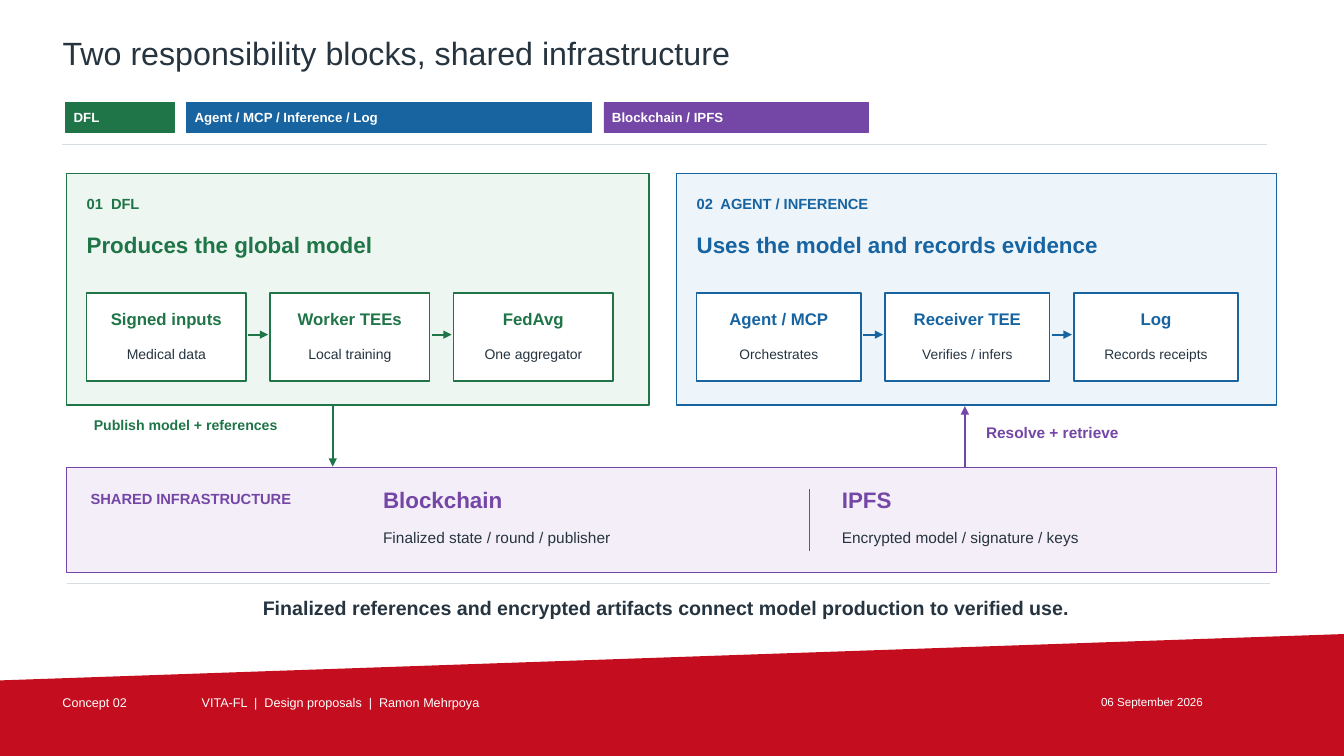
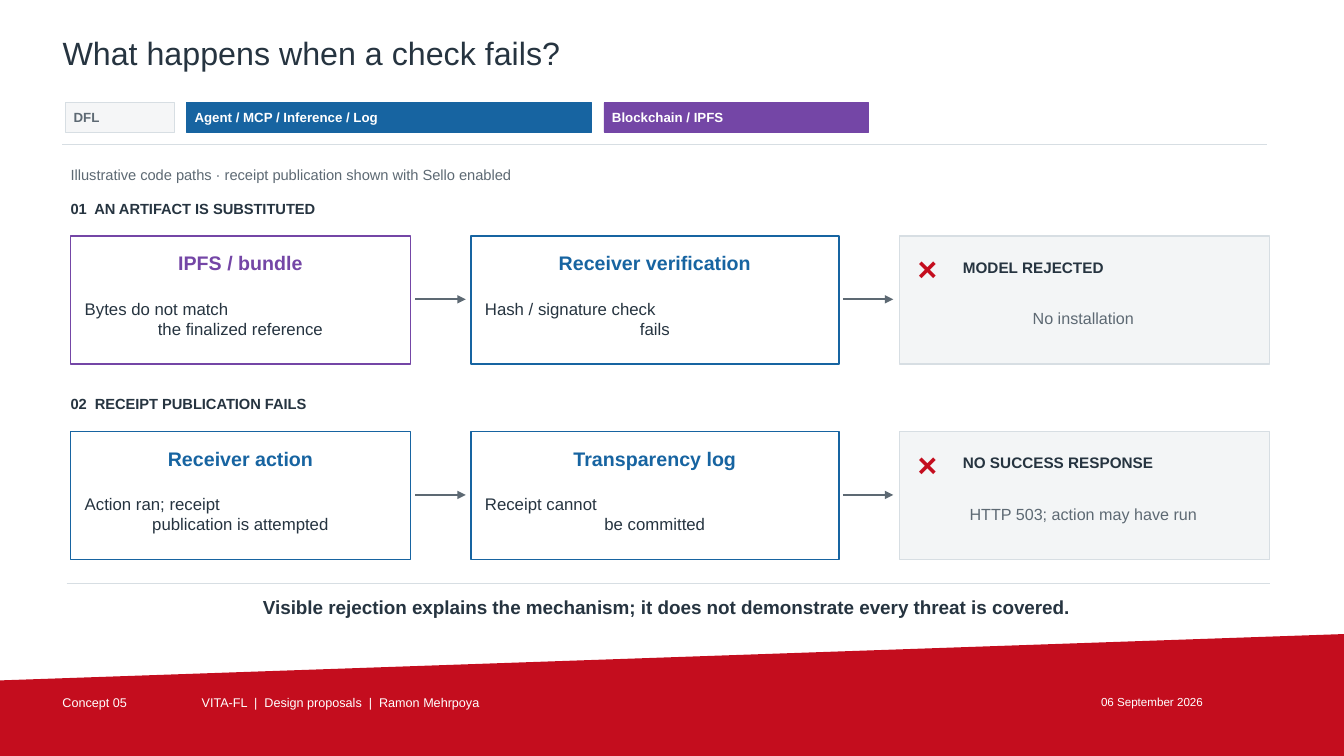
"""Build two slides on responsibility blocks and failed checks."""
from dataclasses import dataclass
from lxml.etree import SubElement
from pptx import Presentation
from pptx.dml.color import RGBColor
from pptx.enum.shapes import MSO_CONNECTOR, MSO_SHAPE
from pptx.enum.text import PP_ALIGN
from pptx.oxml.ns import qn
from pptx.presentation import Presentation as Deck
from pptx.slide import Slide
from pptx.util import Inches, Pt

FONT = "Arial"
INK, GREY, RULE, WHITE = "263440", "5D6973", "D7DEE3", "FFFFFF"
GREEN, BLUE, PURPLE, RED = "207548", "1764A1", "7446A6", "C40D1E"
LEFT, MID = PP_ALIGN.LEFT, PP_ALIGN.CENTER


@dataclass
class Box:
    x: float
    y: float
    w: float
    h: float


@dataclass
class Tab:
    label: str
    x: float
    w: float
    color: str


@dataclass
class Panel:
    x: float
    w: float
    label: str
    head: str
    color: str
    fill: str
    step: float
    size: float
    steps: list[tuple[str, str]]


@dataclass
class Card:
    head: str
    first: str
    second: str
    color: str


@dataclass
class Case:
    y: float
    label: str
    cause: Card
    check: Card
    result: str
    detail: str


TABS = [
    Tab("DFL", 0.65, 1.08, GREEN),
    Tab("Agent / MCP / Inference / Log", 1.85, 4.02, BLUE),
    Tab("Blockchain / IPFS", 5.99, 2.62, PURPLE),
]
PANELS = [
    Panel(0.66, 5.78, "01  DFL", "Produces the global model", GREEN, "EDF6F0", 1.58, 10,
          [("Signed inputs", "Medical data"), ("Worker TEEs", "Local training"),
           ("FedAvg", "One aggregator")]),
    Panel(6.71, 5.95, "02  AGENT / INFERENCE", "Uses the model and records evidence",
          BLUE, "EDF4FA", 1.63, 9.8,
          [("Agent / MCP", "Orchestrates"), ("Receiver TEE", "Verifies / infers"),
           ("Log", "Records receipts")]),
]
STORES = [
    (3.8, "Blockchain", "Finalized state / round / publisher"),
    (8.35, "IPFS", "Encrypted model / signature / keys"),
]
CASES = [
    Case(2.34, "01  AN ARTIFACT IS SUBSTITUTED",
         Card("IPFS / bundle", "Bytes do not match", "the finalized reference", PURPLE),
         Card("Receiver verification", "Hash / signature check", "fails", BLUE),
         "MODEL REJECTED", "No installation"),
    Case(4.28, "02  RECEIPT PUBLICATION FAILS",
         Card("Receiver action", "Action ran; receipt", "publication is attempted", BLUE),
         Card("Transparency log", "Receipt cannot", "be committed", BLUE),
         "NO SUCCESS RESPONSE", "HTTP 503; action may have run"),
]


def rgb(color: str) -> RGBColor:
    return RGBColor.from_string(color)


def write(slide: Slide, box: Box, lines: str | list[str], size: float, color: str = INK,
          bold: bool = False, align: PP_ALIGN | list[PP_ALIGN] = LEFT) -> None:
    lines = [lines] if isinstance(lines, str) else lines
    aligns = align if isinstance(align, list) else [align] * len(lines)
    shape = slide.shapes.add_textbox(Inches(box.x), Inches(box.y), Inches(box.w), Inches(box.h))
    frame = shape.text_frame
    frame.word_wrap = True
    frame.margin_left = frame.margin_right = frame.margin_top = frame.margin_bottom = 0
    frame.text = "\n".join(lines)
    for para, side in zip(frame.paragraphs, aligns):
        para.alignment = side
        para.font.name = FONT
        para.font.size = Pt(size)
        para.font.bold = bold
        para.font.color.rgb = rgb(color)


def block(slide: Slide, box: Box, fill: str, edge: str, width: float = 1.1) -> None:
    shape = slide.shapes.add_shape(MSO_SHAPE.RECTANGLE, Inches(box.x), Inches(box.y),
                                   Inches(box.w), Inches(box.h))
    shape.shadow.inherit = False
    shape.fill.solid()
    shape.fill.fore_color.rgb = rgb(fill)
    shape.line.color.rgb = rgb(edge)
    shape.line.width = Pt(width)


def link(slide: Slide, start: tuple[float, float], end: tuple[float, float], color: str,
         width: float = 1.5, arrow: bool = True) -> None:
    line = slide.shapes.add_connector(MSO_CONNECTOR.STRAIGHT, Inches(start[0]),
                                      Inches(start[1]), Inches(end[0]), Inches(end[1]))
    line.line.color.rgb = rgb(color)
    line.line.width = Pt(width)
    if arrow:
        SubElement(line.line._get_or_add_ln(), qn("a:tailEnd"), type="triangle")
    SubElement(line._element.spPr, qn("a:effectLst"))


def band(slide: Slide) -> None:
    form = slide.shapes.build_freeform(0, Inches(6.75))
    form.add_line_segments([(Inches(x), Inches(y)) for x, y in
                            ((13.33, 6.29), (13.33, 7.5), (0, 7.5))])
    shape = form.convert_to_shape()
    shape.shadow.inherit = False
    shape.fill.solid()
    shape.fill.fore_color.rgb = rgb(RED)
    shape.line.fill.background()


def base(deck: Deck, title: str, number: str, closing: str, size: float,
         muted: tuple[str, ...] = ()) -> Slide:
    slide = deck.slides.add_slide(deck.slide_layouts[6])
    band(slide)
    write(slide, Box(0.62, 0.33, 10.75, 0.57), title, 23)
    for tab in TABS:
        off = tab.label in muted
        block(slide, Box(tab.x, 1.02, tab.w, 0.29), "F5F6F7" if off else tab.color,
              RULE if off else tab.color, 0.6)
        write(slide, Box(tab.x + 0.08, 1.08, tab.w - 0.16, 0.19), tab.label, 9.5,
              GREY if off else WHITE, True)
    link(slide, (0.62, 1.43), (12.57, 1.43), RULE, 0.8, False)
    write(slide, Box(0.62, 6.89, 1.3, 0.22), f"Concept {number}", 9, WHITE)
    write(slide, Box(2, 6.89, 8.8, 0.22), "VITA-FL  |  Design proposals  |  Ramon Mehrpoya",
          9, WHITE)
    write(slide, Box(10.92, 6.89, 1.81, 0.22), "06 September 2026", 8.3, WHITE)
    link(slide, (0.66, 5.79), (12.6, 5.79), RULE, 0.8, False)
    write(slide, Box(0.72, 5.91, 11.78, 0.33), closing, size, INK, True, MID)
    return slide


def panel(slide: Slide, item: Panel) -> None:
    left, wide = item.x + 0.2, item.w - 0.4
    block(slide, Box(item.x, 1.72, item.w, 2.3), item.fill, item.color)
    write(slide, Box(left, 1.93, wide, 0.23), item.label, 10.5, item.color, True)
    write(slide, Box(left, 2.29, wide, 0.36), item.head, 16, item.color, True)
    for i, (head, note) in enumerate(item.steps):
        x = left + i * (item.step + 0.24)
        if i:
            link(slide, (x - 0.22, 3.32), (x - 0.02, 3.32), item.color)
        block(slide, Box(x, 2.91, item.step, 0.87), WHITE, item.color)
        inner = item.step - 0.28
        write(slide, Box(x + 0.14, 3.06, inner, 0.37), head, 12, item.color, True, MID)
        write(slide, Box(x + 0.14, 3.43, inner, 0.22), note, item.size, align=MID)


def card(slide: Slide, box: Box, item: Card) -> None:
    block(slide, box, WHITE, item.color)
    x, w = box.x + 0.14, box.w - 0.28
    write(slide, Box(x, box.y + 0.15, w, 0.37), item.head, 14, item.color, True, MID)
    write(slide, Box(x, box.y + 0.62, w, 0.55), [item.first, item.second], 12,
          align=[LEFT, MID])


def case(slide: Slide, item: Case) -> None:
    y = item.y
    write(slide, Box(0.7, y - 0.36, 11.85, 0.23), item.label, 10.5, INK, True)
    card(slide, Box(0.7, y, 3.37, 1.27), item.cause)
    card(slide, Box(4.67, y, 3.65, 1.27), item.check)
    for x in (4.12, 8.36):
        link(slide, (x, y + 0.63), (x + 0.5, y + 0.63), GREY)
    block(slide, Box(8.92, y, 3.67, 1.27), "F3F5F6", RULE)
    write(slide, Box(9.1, y + 0.12, 0.38, 0.45), "×", 24, RED, True)
    write(slide, Box(9.55, y + 0.22, 2.87, 0.3), item.result, 10.9, INK, True)
    write(slide, Box(9.13, y + 0.72, 3.23, 0.4), item.detail, 11.5, GREY, align=MID)


def duties(deck: Deck) -> None:
    slide = base(deck, "Two responsibility blocks, shared infrastructure", "02",
                 "Finalized references and encrypted artifacts connect "
                 "model production to verified use.", 14)
    for item in PANELS:
        panel(slide, item)
    link(slide, (3.3, 4.03), (3.3, 4.63), GREEN)
    write(slide, Box(0.93, 4.13, 2.18, 0.43), "Publish model + references", 10.1, GREEN, True)
    link(slide, (9.57, 4.63), (9.57, 4.03), PURPLE)
    write(slide, Box(9.78, 4.2, 2.6, 0.27), "Resolve + retrieve", 11, PURPLE, True)
    block(slide, Box(0.66, 4.64, 12, 1.04), "F3EEF8", PURPLE)
    write(slide, Box(0.9, 4.86, 2.76, 0.23), "SHARED INFRASTRUCTURE", 10.5, PURPLE, True)
    for x, head, note in STORES:
        write(slide, Box(x, 4.82, 3.5, 0.3), head, 16, PURPLE, True)
        write(slide, Box(x, 5.24, 4.1, 0.22), note, 11)
    link(slide, (8.03, 4.85), (8.03, 5.47), PURPLE, 0.8, False)


def faults(deck: Deck) -> None:
    slide = base(deck, "What happens when a check fails?", "05",
                 "Visible rejection explains the mechanism; "
                 "it does not demonstrate every threat is covered.", 13.5, ("DFL",))
    write(slide, Box(0.7, 1.65, 11.85, 0.24),
          "Illustrative code paths · receipt publication shown with Sello enabled", 10.5, GREY)
    for item in CASES:
        case(slide, item)


def main() -> None:
    deck = Presentation()
    deck.slide_width, deck.slide_height = Inches(13.33), Inches(7.5)
    duties(deck)
    faults(deck)
    deck.save("out.pptx")


if __name__ == "__main__":
    main()
